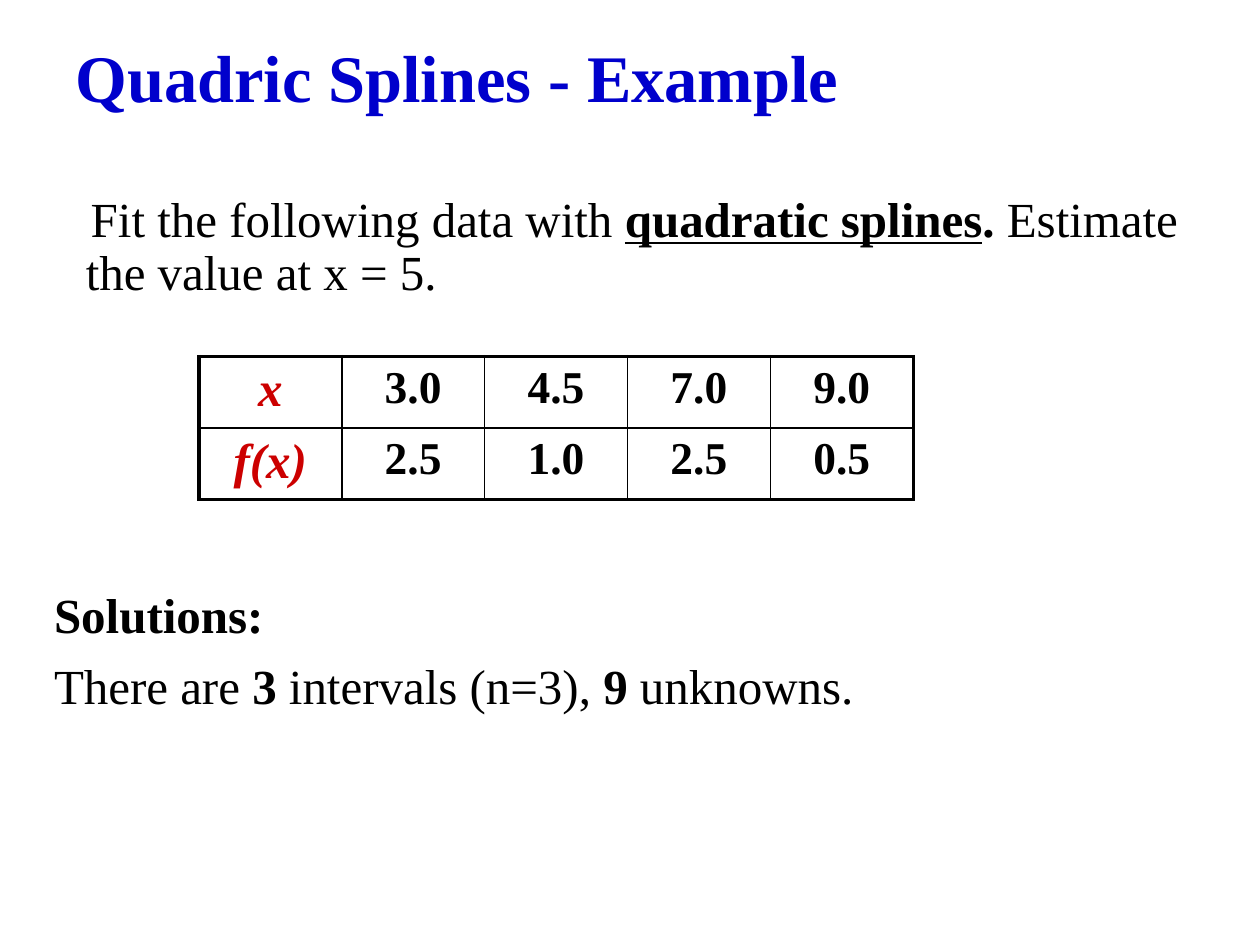
"""Build the quadratic splines example slide with its data table."""
from lxml import etree
from pptx import Presentation
from pptx import util as u
from pptx.dml.color import RGBColor
from pptx.enum import text
from pptx.oxml.ns import qn

BLUE = RGBColor(0x00, 0x00, 0xCC)
RED = RGBColor(0xCC, 0x00, 0x00)
BLACK = RGBColor(0x00, 0x00, 0x00)
FONT = "Times New Roman"


def add_span(para, words, size=28, color=BLACK, bold=False, italic=False, underline=False):
    span = para.add_run()
    span.text = words
    font = span.font
    font.name, font.size, font.color.rgb = FONT, u.Pt(size), color
    font.bold, font.italic, font.underline = bold, italic, underline


def add_border(cell, side, width):
    line = etree.SubElement(cell._tc.get_or_add_tcPr(), qn(f"a:ln{side}"), w=str(u.Pt(width)))
    fill = etree.SubElement(line, qn("a:solidFill"))
    etree.SubElement(fill, qn("a:srgbClr"), val=str(BLACK))


deck = Presentation()
deck.slide_width, deck.slide_height = u.Cm(25.4), u.Cm(19.05)
page = deck.slides.add_slide(deck.slide_layouts[6])

title_box = page.shapes.add_textbox(u.Cm(1.27), u.Cm(0.33), u.Cm(20.96), u.Cm(2.62))
title_box.text_frame.word_wrap = True
title_box.text_frame.vertical_anchor = text.MSO_ANCHOR.MIDDLE
title = title_box.text_frame.paragraphs[0]
title.line_spacing = 0.9
add_span(title, "Quadric Splines - Example", size=38, color=BLUE, bold=True)

body_box = page.shapes.add_textbox(u.Cm(0.84), u.Cm(3.81), u.Cm(23.5), u.Cm(12.8))
body = body_box.text_frame
body.word_wrap = True
strong = {"bold": True}
paragraphs = [
    (10, 0.1, [("Fit the following data with ", {}),
               ("quadratic splines", {"bold": True, "underline": True}),
               (". ", strong), ("Estimate the value at x = 5.", {})]),
    (166, -0.64, [("Solutions:", strong)]),
    (10, -0.64, [("There are ", {}), ("3", strong), (" intervals (n=3), ", {}),
                 ("9", strong), (" unknowns.", {})]),
]
for index, (space, indent, spans) in enumerate(paragraphs):
    para = body.add_paragraph() if index else body.paragraphs[0]
    para.line_spacing, para.space_before = 0.9, u.Pt(space)
    properties = para._p.get_or_add_pPr()
    properties.set("marL", str(u.Cm(0.64)))
    properties.set("indent", str(u.Cm(indent)))
    for words, style in spans:
        add_span(para, words, **style)

data = [["x", "3.0", "4.5", "7.0", "9.0"], ["f(x)", "2.5", "1.0", "2.5", "0.5"]]
last_row, last_column = len(data) - 1, len(data[0]) - 1
table = page.shapes.add_table(len(data), len(data[0]), u.Cm(4.01), u.Cm(7.19),
                              u.Cm(14.4), u.Cm(2.88)).table
table.first_row = table.horz_banding = False
for r, values in enumerate(data):
    for c, value in enumerate(values):
        cell = table.cell(r, c)
        para = cell.text_frame.paragraphs[0]
        para.alignment = text.PP_ALIGN.CENTER
        if c == 0:
            add_span(para, value, color=RED, bold=True, italic=True)
        else:
            add_span(para, value, size=26, bold=True)
        edges = {"L": c == 0, "R": c == last_column, "T": r == 0, "B": r == last_row}
        for side, outer in edges.items():
            add_border(cell, side, 2.25 if outer else 1)
        cell.fill.background()

deck.save("out.pptx")
